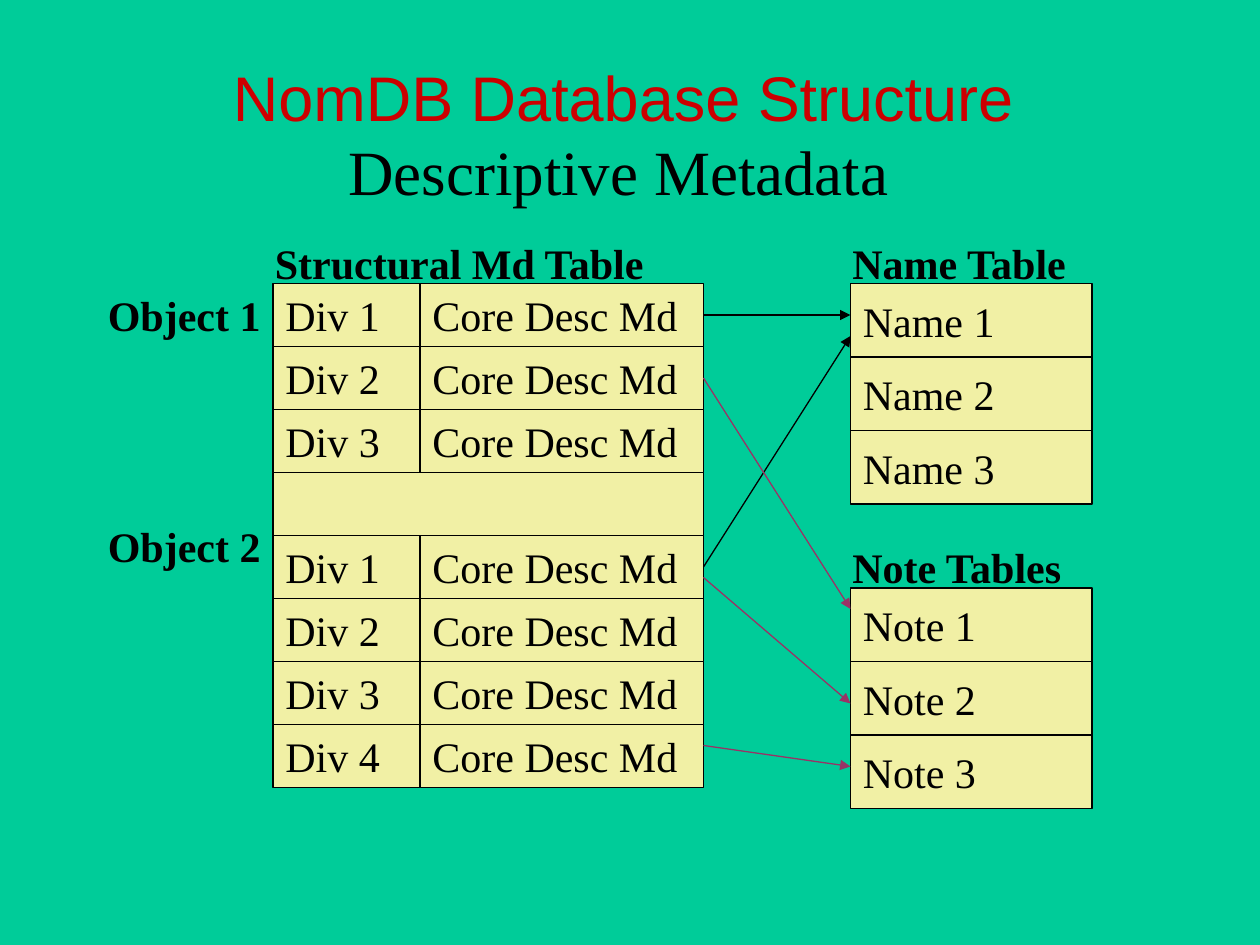
from dataclasses import dataclass

from lxml import etree
from pptx import Presentation, util as u
from pptx.dml.color import RGBColor
from pptx.enum import shapes, text
from pptx.oxml.ns import qn


@dataclass(frozen=True)
class Theme:
    page: str = "00CC99"
    cell: str = "F1F0A5"
    ink: str = "000000"
    heading: str = "CC0000"
    note_link: str = "993366"
    serif: str = "Times New Roman"
    sans: str = "Arial"
    title_size: int = 36
    body_size: int = 24
    line_width: float = 0.74


theme = Theme()
deck = Presentation()
deck.slide_width, deck.slide_height = u.Inches(10), u.Inches(7.5)
slide = deck.slides.add_slide(deck.slide_layouts[6])
slide.background.fill.solid()
slide.background.fill.fore_color.rgb = RGBColor.from_string(theme.page)

# The slide is a grid of 120 columns by 90 rows.
COLUMN = deck.slide_width / 120
ROW = deck.slide_height / 90


def add_text(box, words, filled=False, size=theme.body_size, font=theme.serif,
             color=theme.ink, bold=False, align=text.PP_ALIGN.LEFT):
    """Place words in a cell (filled) or a label at box, given in grid units."""
    left, top, width, height = box
    place = [int(n) for n in (left * COLUMN, top * ROW, width * COLUMN, height * ROW)]
    if filled:
        holder = slide.shapes.add_shape(shapes.MSO_SHAPE.RECTANGLE, *place)
        holder.shadow.inherit = False
        holder.fill.solid()
        holder.fill.fore_color.rgb = RGBColor.from_string(theme.cell)
        holder.line.color.rgb = RGBColor.from_string(theme.ink)
        holder.line.width = u.Pt(theme.line_width)
    else:
        holder = slide.shapes.add_textbox(*place)
    frame = holder.text_frame
    frame.text = words
    frame.word_wrap = True
    frame.vertical_anchor = text.MSO_ANCHOR.MIDDLE if filled else text.MSO_ANCHOR.TOP
    paragraph = frame.paragraphs[0]
    paragraph.alignment = align
    for run in paragraph.runs:
        run.font.size, run.font.name, run.font.bold = u.Pt(size), font, bold
        run.font.color.rgb = RGBColor.from_string(color)


def add_line(x1, y1, x2, y2, color=theme.ink, arrow=False):
    """Draw a straight line between two grid points, with an optional arrowhead."""
    line = slide.shapes.add_connector(
        shapes.MSO_CONNECTOR.STRAIGHT,
        int(x1 * COLUMN), int(y1 * ROW), int(x2 * COLUMN), int(y2 * ROW))
    line.line.color.rgb = RGBColor.from_string(color)
    line.line.width = u.Pt(theme.line_width)
    if arrow:
        etree.SubElement(line.line._get_or_add_ln(), qn("a:tailEnd"), type="triangle")
    etree.SubElement(line._element.spPr, qn("a:effectLst"))


# Titles
add_text((21, 5, 78, 8.4), "NomDB Database Structure",
         size=theme.title_size, font=theme.sans, color=theme.heading)
add_text((32, 12, 54.5, 8.4), "Descriptive Metadata", size=theme.title_size)

# Structural metadata: two objects, separated by an empty row
struct_left, struct_right, divider, tables_top, div_height = 26, 67, 40, 27, 6
object_sizes = (3, 4)
top = tables_top
for position, size in enumerate(object_sizes):
    if position:
        add_text((struct_left, top, struct_right - struct_left, div_height), "", filled=True)
        top += div_height
    object_top = top
    for index in range(size):
        add_text((struct_left, top, struct_right - struct_left, div_height),
                 f"Div {index + 1}", filled=True)
        add_text((divider, top, 26.5, div_height), "Core Desc Md")
        top += div_height
    add_line(divider, object_top, divider, top)

# Name and note tables
entry_left, entry_width, entry_height = 81, 23, 7
for kind, kind_top in (("Name", tables_top), ("Note", 56)):
    for index in range(3):
        add_text((entry_left, kind_top + index * entry_height, entry_width, entry_height),
                 f"{kind} {index + 1}", filled=True)

# Links from divisions to names and notes
for start, end, color in (
    (30, 30, theme.ink),
    (54, 32, theme.ink),
    (36, 58, theme.note_link),
    (55, 67, theme.note_link),
    (71, 73, theme.note_link),
):
    add_line(struct_right, start, entry_left, end, color, arrow=True)

# Table headings and object labels
for left, label_top, width, label in (
    (25, 22, 38.5, "Structural Md Table"),
    (80, 22, 23.5, "Name Table"),
    (80, 51, 23, "Note Tables"),
):
    add_text((left, label_top, width, 6), label, bold=True)
for label_top, label in ((tables_top, "Object 1"), (49, "Object 2")):
    add_text((9, label_top, 17, 6), label, bold=True, align=text.PP_ALIGN.RIGHT)

deck.save("out.pptx")
